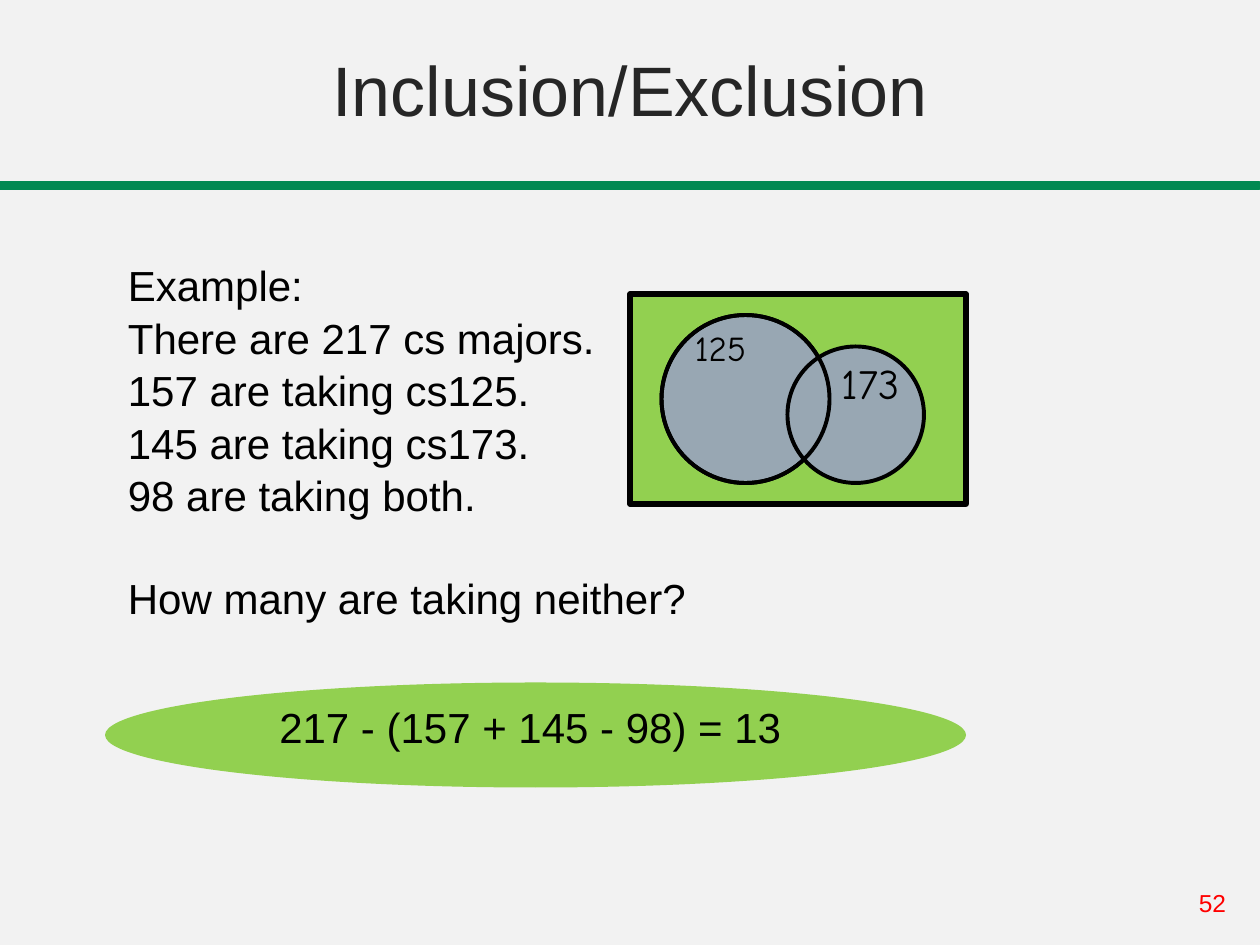
from pptx import Presentation
from pptx.dml.color import RGBColor
from pptx.enum.shapes import MSO_SHAPE
from pptx.enum.text import MSO_ANCHOR, PP_ALIGN
from pptx.util import Inches, Pt

COLS, ROWS = 120, 90
BLACK, LIME, SLATE, GREEN = "000000", "92D050", "98A7B3", "018952"


def rgb(value):
    """Turn a hex string into a colour."""
    return RGBColor.from_string(value)


class Deck:
    """Hold the style, the presentation and the current slide."""

    font = "Arial"

    def __init__(self, background):
        """Start a slide with a plain background."""
        self.prs = Presentation()
        self.prs.slide_width, self.prs.slide_height = Inches(10), Inches(7.5)
        self.s = self.prs.slides.add_slide(self.prs.slide_layouts[6])
        fill = self.s.background.fill
        fill.solid()
        fill.fore_color.rgb = rgb(background)

    def box(self, col, row, cols, rows):
        """Turn grid units into left, top, width and height."""
        x, y = self.prs.slide_width / COLS, self.prs.slide_height / ROWS
        return [round(v) for v in (col * x, row * y, cols * x, rows * y)]

    def shape(self, kind, at, fill=None, line=None, width=0):
        """Add a preset shape with an optional fill and outline."""
        sp = self.s.shapes.add_shape(kind, *self.box(*at))
        sp.shadow.inherit = False
        if fill:
            sp.fill.solid()
            sp.fill.fore_color.rgb = rgb(fill)
        else:
            sp.fill.background()
        if line:
            sp.line.color.rgb = rgb(line)
            sp.line.width = Pt(width)
        else:
            sp.line.fill.background()

    def text(self, at, lines, size, color=BLACK, font=None, align=PP_ALIGN.LEFT,
             anchor=MSO_ANCHOR.TOP, top=0.05, spacing=None, after=0):
        """Add a text box with one paragraph for each line."""
        tf = self.s.shapes.add_textbox(*self.box(*at)).text_frame
        tf.word_wrap = True
        tf.vertical_anchor = anchor
        tf.margin_top = Inches(top)
        for i, line in enumerate(lines):
            p = tf.paragraphs[0] if i == 0 else tf.add_paragraph()
            p.alignment = align
            p.line_spacing = spacing
            p.space_after = Pt(after)
            r = p.add_run()
            r.text = line
            r.font.size = Pt(size)
            r.font.name = font or self.font
            r.font.color.rgb = rgb(color)
        return tf


def main():
    """Build the inclusion/exclusion slide."""
    deck = Deck("F2F2F2")
    deck.shape(MSO_SHAPE.RECTANGLE, (0, 17.4, 120, 0.6), GREEN, GREEN, 1.75)
    deck.text((113, 84, 7, 4), ["52"], 14, "FF0000")
    deck.text((0, 0, 120, 13), ["Inclusion/Exclusion"], 40, "262626",
              align=PP_ALIGN.CENTER, anchor=MSO_ANCHOR.BOTTOM)

    tf = deck.text((11, 18, 99, 51), [
        "Example:",
        "There are 217 cs majors.",
        "157 are taking cs125.",
        "145 are taking cs173.",
        "98 are taking both.",
        "How many are taking neither?",
    ], 24, top=0.56, after=1.2)
    tf.paragraphs[-1].space_before = Pt(28.8)

    deck.shape(MSO_SHAPE.OVAL, (10, 65, 82, 10), LIME)
    deck.text((10, 66.25, 81, 6), ["217 - (157 + 145 - 98) = 13"], 24,
              align=PP_ALIGN.CENTER)

    large, small = (63, 30, 16, 16), (75, 33, 13, 13)
    deck.shape(MSO_SHAPE.RECTANGLE, (60, 28, 32, 20), LIME, BLACK, 3)
    for circle in (large, small):
        deck.shape(MSO_SHAPE.OVAL, circle, SLATE, BLACK, 2.25)
    for at, label, size in (((65, 31, 9, 7), "125", 20),
                            ((79, 34, 12, 6), "173", 24)):
        deck.text(at, [label], size, font="Comic Neue", spacing=0.9)
    deck.shape(MSO_SHAPE.OVAL, large, None, BLACK, 2.25)

    deck.prs.save("out.pptx")


if __name__ == "__main__":
    main()
